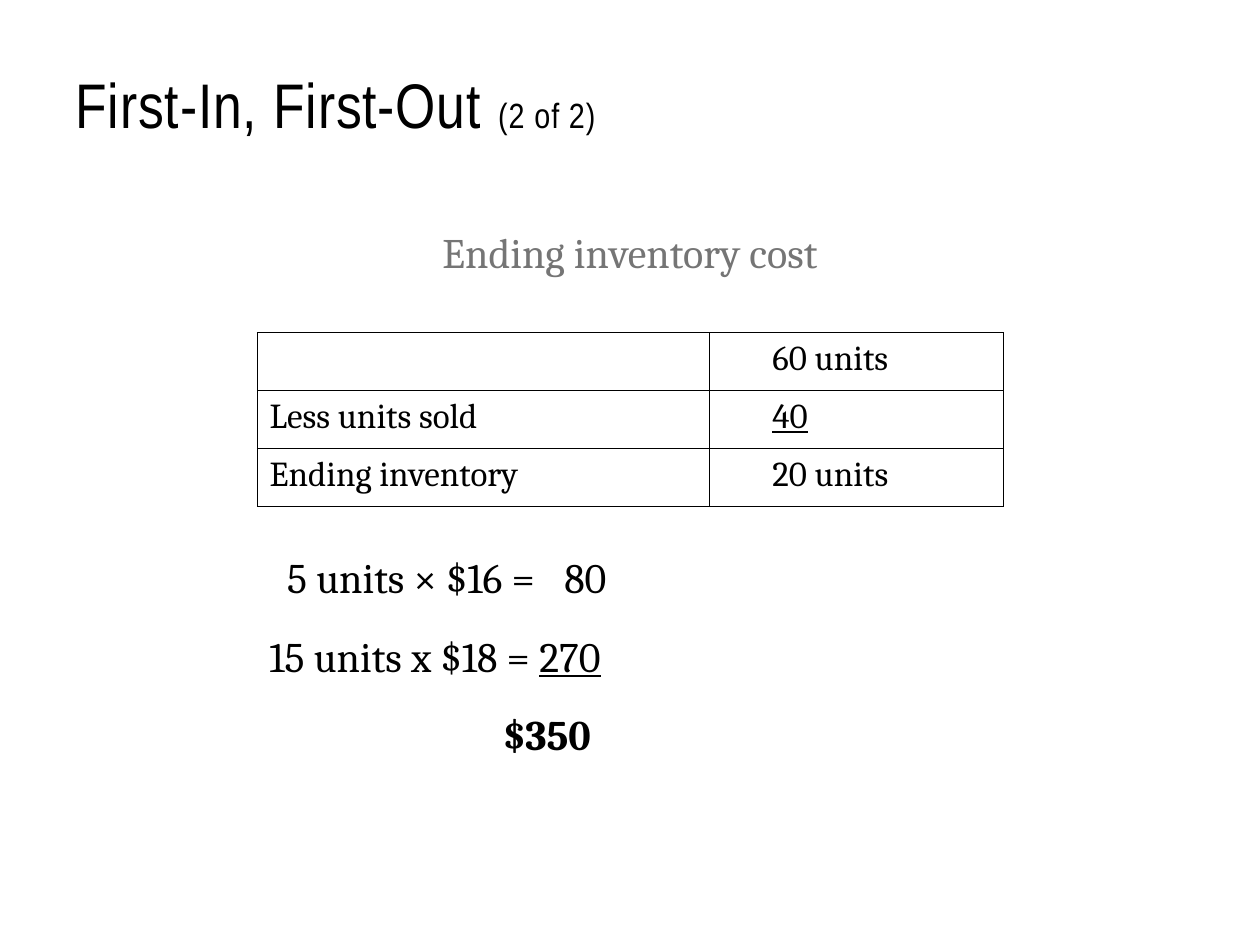
"""Build the first-in, first-out ending inventory slide."""
from lxml.etree import SubElement
from pptx import Presentation
from pptx.dml.color import RGBColor
from pptx.enum.text import MSO_ANCHOR, MSO_AUTO_SIZE, PP_ALIGN
from pptx.oxml.ns import qn
from pptx.util import Inches, Pt

BLACK = RGBColor(0x00, 0x00, 0x00)
GREY = RGBColor(0x75, 0x75, 0x75)
MARGIN, INDENT = 0.5, 2.04
COL_WIDTHS, ROW_HEIGHT = (3.59, 2.33), 0.46


def add_run(p, text, size, color=BLACK, name="Cambria", **style):
    r = p.add_run()
    r.text = text
    r.font.color.rgb = color
    for key, value in dict(size=Pt(size), name=name, **style).items():
        setattr(r.font, key, value)
    return r


def add_lines(s, box, lines, color=BLACK, align=PP_ALIGN.LEFT):
    tf = s.shapes.add_textbox(*map(Inches, box)).text_frame
    tf.word_wrap = True
    for i, (stops, runs) in enumerate(lines):
        p = tf.add_paragraph() if i else tf.paragraphs[0]
        for key, value in dict(alignment=align, space_before=Pt(8), space_after=Pt(8)).items():
            setattr(p, key, value)
        if stops:
            tabs = SubElement(p._p.get_or_add_pPr(), qn("a:tabLst"))
            for stop in stops:
                SubElement(tabs, qn("a:tab"), pos=str(Inches(stop)), algn="l")
        for text, style in runs:
            add_run(p, text, 24, color, **style)


prs = Presentation()
prs.slide_width, prs.slide_height = Inches(10), Inches(7.5)
s = prs.slides.add_slide(prs.slide_layouts[5])

title = s.shapes.title
title.left, title.top, title.width, title.height = map(Inches, (MARGIN, 0.24, 10 - 2 * MARGIN, 1.2))
tf = title.text_frame
frame = dict(word_wrap=True, auto_size=MSO_AUTO_SIZE.NONE, vertical_anchor=MSO_ANCHOR.MIDDLE,
             margin_left=Inches(0.1), margin_top=Inches(0.1),
             margin_right=Inches(0.1), margin_bottom=Inches(0.05))
for key, value in frame.items():
    setattr(tf, key, value)
p = tf.paragraphs[0]
p.alignment, p.line_spacing = PP_ALIGN.LEFT, 0.85
for text, size in (("First-In, First-Out ", 36), ("(2 of 2)", 20)):
    r = add_run(p, text, size, name="Arial Narrow")
    r.font._element.set("spc", "50")

add_lines(s, (MARGIN, 1.75, 10 - 2 * MARGIN, 0.58),
          [((), [("Ending inventory cost", {})])], GREY, PP_ALIGN.CENTER)

rows = [("", "60 units"), ("Less units sold", "40"), ("Ending inventory", "20 units")]
table_box = (INDENT, 2.64, sum(COL_WIDTHS), ROW_HEIGHT * len(rows))
table = s.shapes.add_table(len(rows), len(COL_WIDTHS), *map(Inches, table_box)).table
table.first_row = table.horz_banding = False
for column, width in zip(table.columns, COL_WIDTHS):
    column.width = Inches(width)
for i, row in enumerate(rows):
    table.rows[i].height = Inches(ROW_HEIGHT)
    for j, text in enumerate(row):
        cell = table.cell(i, j)
        cell.margin_left = Inches((0.1, 0.5)[j])
        tcPr = cell._tc.get_or_add_tcPr()
        for side in ("lnL", "lnR", "lnT", "lnB"):
            line = SubElement(tcPr, qn(f"a:{side}"), w=str(Pt(0.25)))
            SubElement(SubElement(line, qn("a:solidFill")), qn("a:srgbClr"), val=str(BLACK))
        cell.fill.background()
        if text:
            add_run(cell.text_frame.paragraphs[0], text, 20, underline=text == "40")

add_lines(s, (INDENT, 4.33, 4.46, 2.08), [
    ((0.14, 2.34), [("\t5 units × $16 =\t80", {})]),
    ((), [("15 units x $18 = ", {}), ("270", {"underline": True})]),
    ((1.85,), [("\t$350", {"bold": True})]),
])

prs.save("out.pptx")
